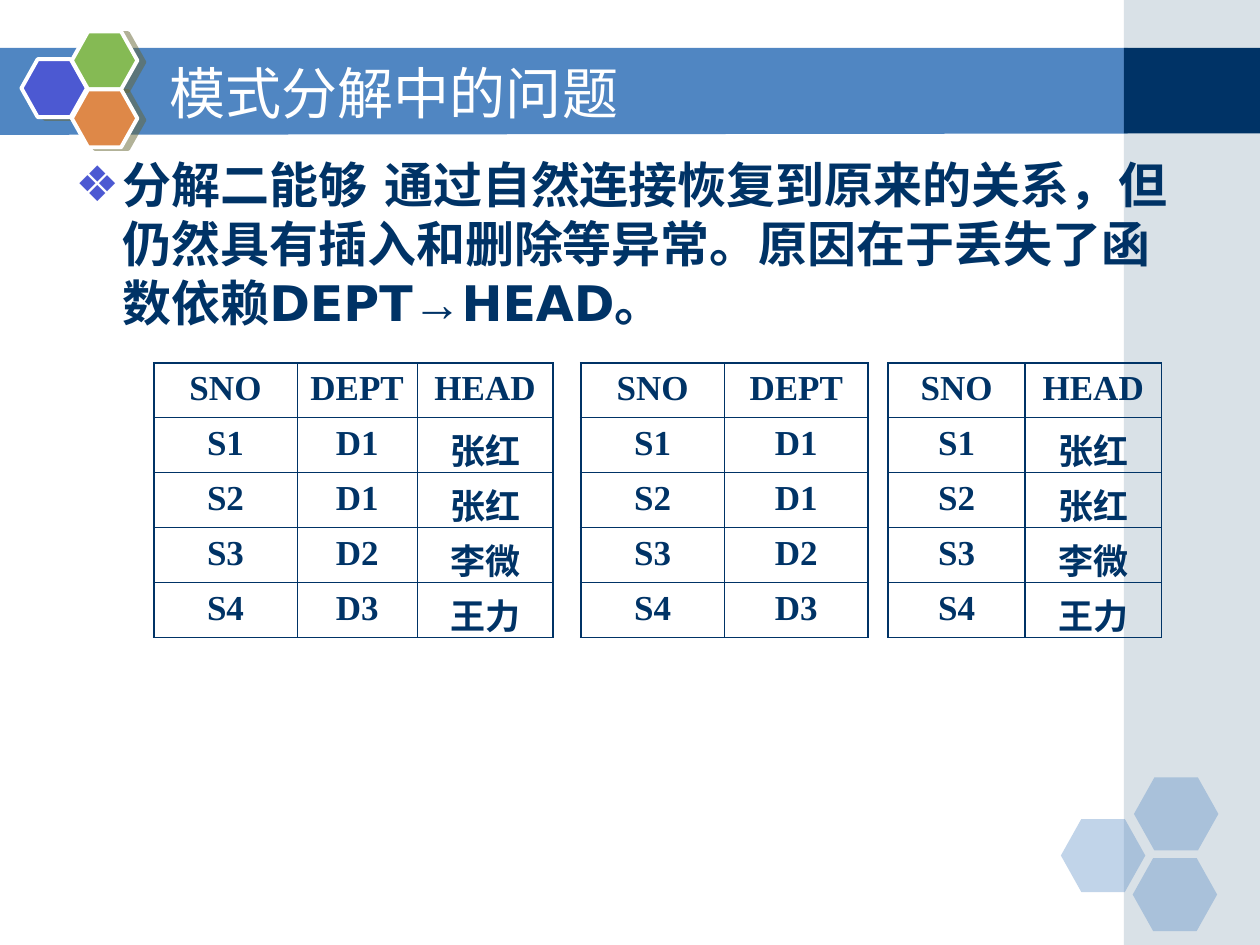
from dataclasses import dataclass

from lxml import etree
from pptx import Presentation
from pptx.dml.color import RGBColor
from pptx.enum.shapes import MSO_SHAPE
from pptx.enum.text import MSO_ANCHOR, PP_ALIGN
from pptx.oxml.ns import qn
from pptx.util import Inches, Pt

NAVY = RGBColor(0x00, 0x33, 0x66)
STEEL = RGBColor(0x50, 0x86, 0xC2)
MIST = RGBColor(0xA0, 0xB5, 0xC4)
INDIGO = RGBColor(0x4C, 0x59, 0xD2)
GREEN = RGBColor(0x85, 0xBA, 0x54)
ORANGE = RGBColor(0xDE, 0x88, 0x48)
OLIVE = RGBColor(0x66, 0x66, 0x33)
WHITE = RGBColor(0xFF, 0xFF, 0xFF)

RECTANGLE = MSO_SHAPE.RECTANGLE
HEXAGON = MSO_SHAPE.HEXAGON
LEFT, CENTER = PP_ALIGN.LEFT, PP_ALIGN.CENTER
TOP, MIDDLE = MSO_ANCHOR.TOP, MSO_ANCHOR.MIDDLE

SANS, ARROW_FONT, SERIF = "DejaVu Sans", "Arial", "Times New Roman"
WIDTH, HEIGHT = Inches(10), Inches(7.5)
COLUMN, ROW = WIDTH / 100, HEIGHT / 75
THIN, THICK = Pt(0.45), Pt(1.08)
TABLE_TOP, TABLE_ROW = 28.8, 4.36


@dataclass(frozen=True)
class Box:
    col: float
    row: float
    cols: float
    rows: float

    def emu(self) -> tuple[int, int, int, int]:
        return (across(self.col), down(self.row),
                across(self.cols), down(self.rows))


@dataclass(frozen=True)
class Panel:
    kind: int
    box: Box
    fill: RGBColor
    opacity: int = 100
    raised: bool = False


@dataclass(frozen=True)
class Relation:
    col: float
    widths: tuple[float, ...]
    divider: int
    rows: tuple[tuple[str, ...], ...]


def across(columns: float) -> int:
    return round(columns * COLUMN)


def down(rows: float) -> int:
    return round(rows * ROW)


def add_element(parent, tag: str, **attributes):
    element = etree.SubElement(parent, qn(tag))
    for key, value in attributes.items():
        element.set(key, str(value))
    return element


def add_color(parent, color: RGBColor, opacity: int = 100) -> None:
    tint = add_element(parent, "a:srgbClr", val=color)
    if opacity < 100:
        add_element(tint, "a:alpha", val=opacity * 1000)


def write_text(frame, *pieces: str, size: float, color: RGBColor,
               fonts: tuple[str, ...], bold: bool = False,
               align: int = LEFT, anchor: int = TOP, bullet: str = "") -> None:
    frame.word_wrap = True
    frame.vertical_anchor = anchor
    paragraph = frame.paragraphs[0]
    if bullet:
        properties = paragraph._p.get_or_add_pPr()
        properties.set("marL", str(across(3.75)))
        properties.set("indent", str(-across(3.75)))
        add_color(add_element(properties, "a:buClr"), INDIGO)
        add_element(properties, "a:buFont", typeface=SANS)
        add_element(properties, "a:buChar", char=bullet)
    paragraph.alignment = align
    for piece, name in zip(pieces, fonts):
        run = paragraph.add_run()
        run.text = piece
        run.font.size = Pt(size)
        run.font.bold = bold
        run.font.color.rgb = color
        run.font.name = name
        if name != SERIF:
            add_element(run._r.get_or_add_rPr(), "a:ea", typeface=name)


def draw_panel(slide, panel: Panel) -> None:
    shape = slide.shapes.add_shape(panel.kind, *panel.box.emu())
    shape.shadow.inherit = False
    shape.fill.solid()
    shape.fill.fore_color.rgb = panel.fill
    if panel.opacity < 100:
        tint = shape._element.spPr.find(qn("a:solidFill"))[0]
        add_element(tint, "a:alpha", val=panel.opacity * 1000)
    if panel.kind == HEXAGON:
        shape.adjustments[0] = 0.28
    if panel.raised:
        shape.line.color.rgb = WHITE
        shape.line.width = Pt(2.25)
        effects = shape._element.spPr.find(qn("a:effectLst"))
        shadow = add_element(effects, "a:outerShdw", blurRad=0, dist=Pt(4.1),
                             dir=14 * 60000, algn="ctr", rotWithShape=0)
        add_color(shadow, OLIVE, 50)
    else:
        shape.line.fill.background()


def draw_banner(slide) -> None:
    builder = slide.shapes.build_freeform(across(-0.1), down(3.8))
    corners = ((89.5, 3.8), (89.5, 10.6), (-0.1, 10.7))
    builder.add_line_segments([(across(x), down(y)) for x, y in corners])
    banner = builder.convert_to_shape()
    banner.shadow.inherit = False
    banner.fill.solid()
    banner.fill.fore_color.rgb = STEEL
    banner.line.fill.background()


def draw_border(cell, side: str, width: int) -> None:
    line = add_element(cell._tc.get_or_add_tcPr(), f"a:{side}", w=width)
    add_color(add_element(line, "a:solidFill"), NAVY)


def draw_relation(slide, relation: Relation) -> None:
    row_count, col_count = len(relation.rows), len(relation.widths)
    box = Box(relation.col, TABLE_TOP, sum(relation.widths), row_count * TABLE_ROW)
    table = slide.shapes.add_table(row_count, col_count, *box.emu()).table
    table.first_row = table.horz_banding = False
    for column, width in zip(table.columns, relation.widths):
        column.width = across(width)
    for r, values in enumerate(relation.rows):
        table.rows[r].height = down(TABLE_ROW)
        for c, value in enumerate(values):
            cell = table.cell(r, c)
            write_text(cell.text_frame, value, size=20, color=NAVY,
                       fonts=(SERIF,), bold=True, align=CENTER)
            draw_border(cell, "lnL", relation.divider if c else THICK)
            draw_border(cell, "lnR", relation.divider if c < col_count - 1 else THICK)
            draw_border(cell, "lnT", THIN if r else THICK)
            draw_border(cell, "lnB", THIN if r < row_count - 1 else THICK)
            cell.fill.background()


def add_text(slide, box: Box, *pieces: str, **text_format) -> None:
    write_text(slide.shapes.add_textbox(*box.emu()).text_frame, *pieces, **text_format)


PANELS = (
    Panel(RECTANGLE, Box(89.2, 0, 10.8, 75), MIST, 40),
    Panel(RECTANGLE, Box(89.2, 3.8, 10.8, 6.8), NAVY),
    *(Panel(HEXAGON, Box(col, row, 6.7, 5.8), STEEL, 35)
      for col, row in ((84.2, 65), (90, 61.7), (89.9, 68.1))),
    *(Panel(HEXAGON, Box(col, row, 5.2, 4.6), fill, raised=True)
      for col, row, fill in ((1.7, 4.7, INDIGO), (5.7, 2.5, GREEN), (5.7, 7.1, ORANGE))),
)

RECORDS = (
    ("SNO", "DEPT", "HEAD"),
    ("S1", "D1", "张红"),
    ("S2", "D1", "张红"),
    ("S3", "D2", "李微"),
    ("S4", "D3", "王力"),
)

RELATIONS = (
    Relation(12.2, (11.4, 9.5, 10.8), THIN, RECORDS),
    Relation(46.1, (11.4, 11.4), THICK, tuple((sno, dept) for sno, dept, _ in RECORDS)),
    Relation(70.5, (10.85, 10.85), THICK, tuple((sno, head) for sno, _, head in RECORDS)),
)


def main() -> None:
    deck = Presentation()
    deck.slide_width, deck.slide_height = WIDTH, HEIGHT
    slide = deck.slides.add_slide(deck.slide_layouts[6])
    draw_banner(slide)
    for panel in PANELS:
        draw_panel(slide, panel)
    add_text(slide, Box(12.5, 4.2, 73.3, 6.2), "模式分解中的问题",
             size=32, color=WHITE, fonts=(SANS,), anchor=MIDDLE)
    add_text(slide, Box(5, 11.8, 90, 57.4),
             "分解二能够 通过自然连接恢复到原来的关系，但仍然具有插入和删除等异常。"
             "原因在于丢失了函数依赖DEPT", "→", "HEAD。",
             size=28, color=NAVY, fonts=(SANS, ARROW_FONT, SANS), bold=True, bullet="❖")
    for relation in RELATIONS:
        draw_relation(slide, relation)
    deck.save("out.pptx")


if __name__ == "__main__":
    main()
